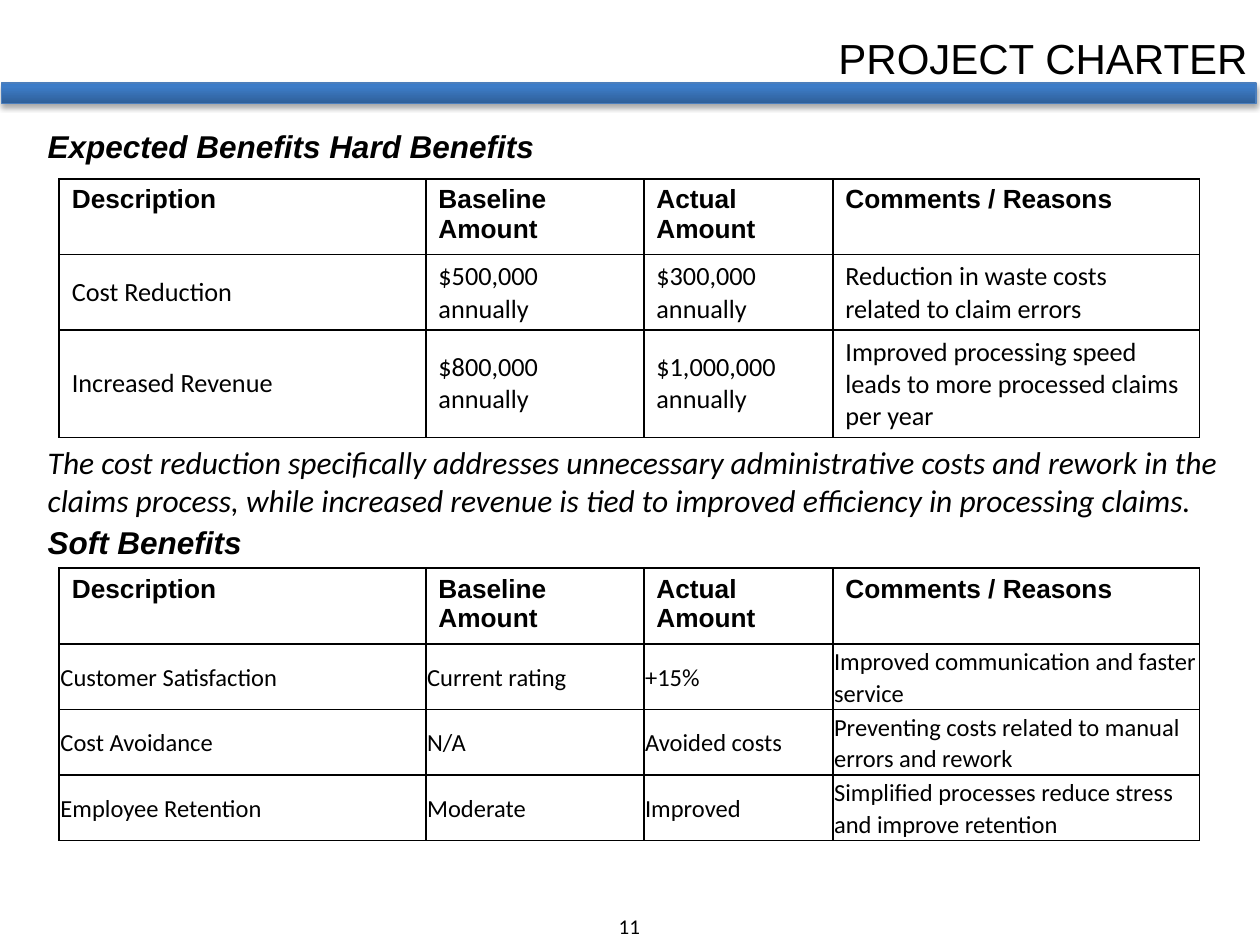
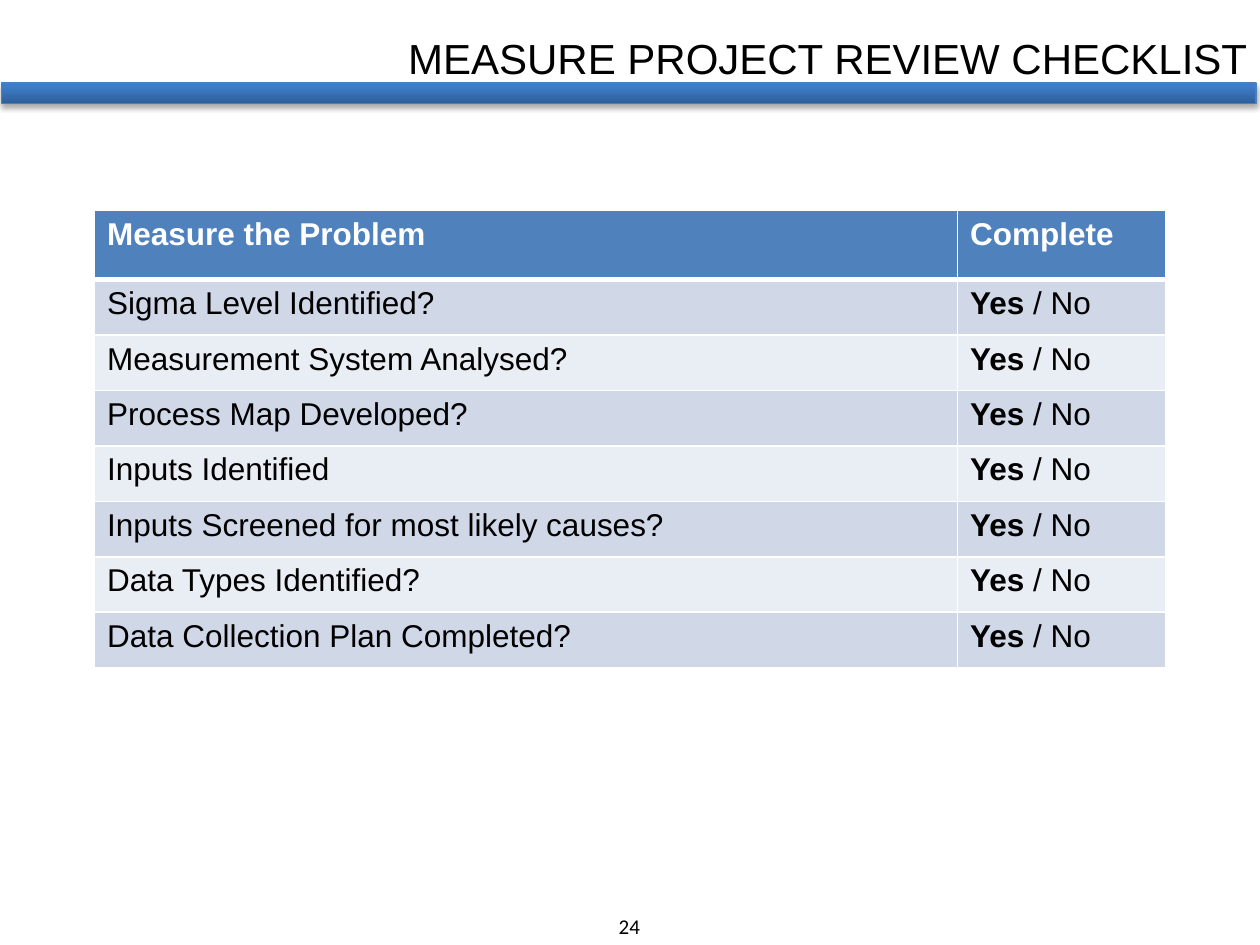
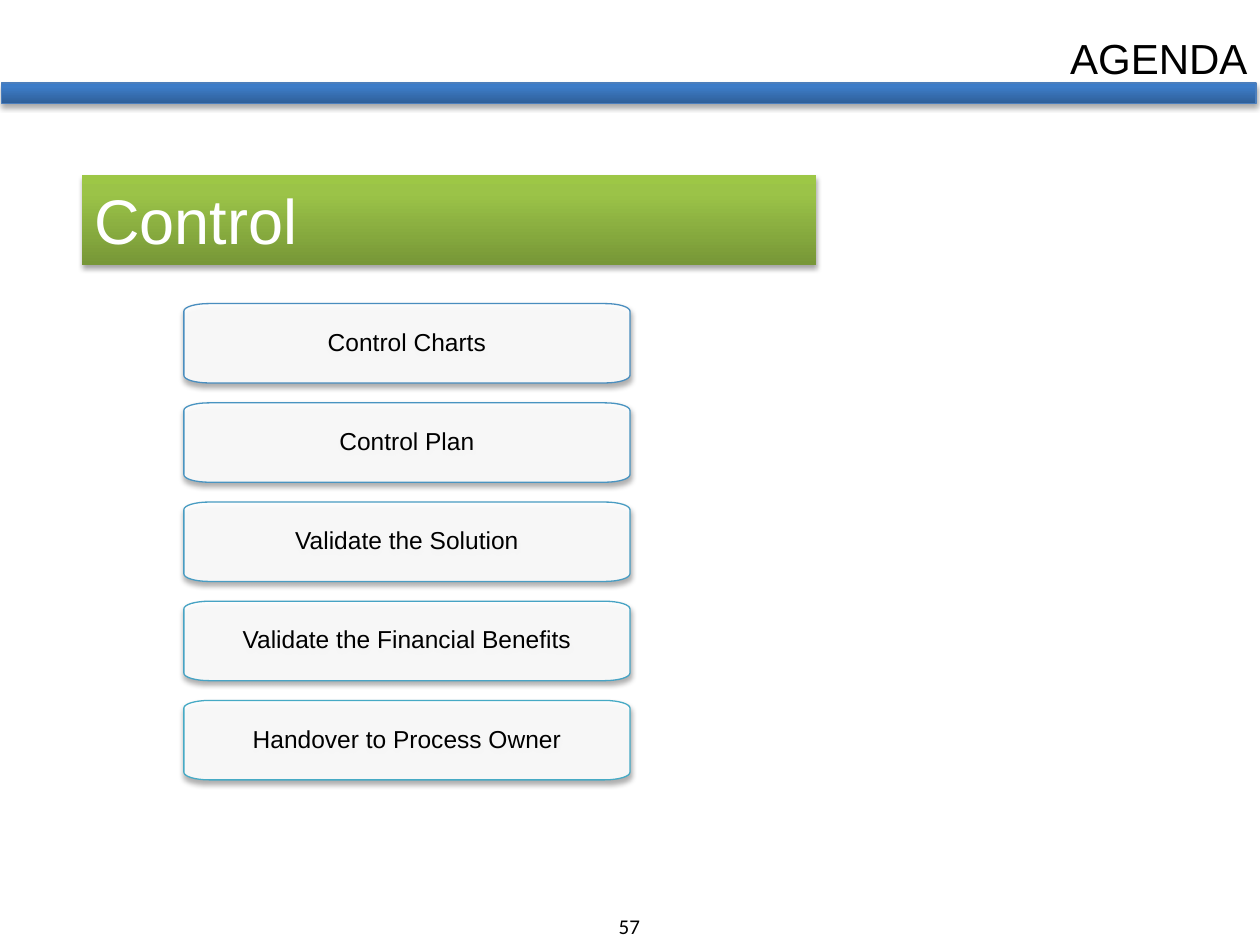
from dataclasses import dataclass
from math import cos, pi, sin

from pptx import Presentation
from pptx.dml.color import RGBColor
from pptx.enum.shapes import MSO_SHAPE
from pptx.enum.text import MSO_ANCHOR, PP_ALIGN
from pptx.oxml import parse_xml
from pptx.oxml.ns import nsdecls, qn
from pptx.util import Inches, Pt


@dataclass(frozen=True)
class Theme:
    """Colours, fonts and type sizes of the deck."""
    heading_font: str = "Arial"
    body_font: str = "Calibri"
    black: str = "000000"
    white: str = "FFFFFF"
    band_line: str = "4B7EBC"
    band_stops: tuple = ((0, "2F5F99"), (80, "3D7CC7"), (100, "3A7CCB"))
    phase_stops: tuple = ((0, "779737"), (80, "9BC348"), (100, "9DC746"))
    step_lines: tuple = ("4A8EBF", "4994C1", "489CC2", "47A3C4", "46AAC5")
    table_head: str = "4F81BD"
    table_bands: tuple = ("D0D8E8", "E9EDF4")
    phase_size: int = 36
    title_size: int = 24
    text_size: int = 18
    cell_size: int = 15
    small_size: int = 14
    page_size: int = 12


THEME = Theme()


def write(frame, text, *, size, font=THEME.heading_font, color=THEME.black,
          bold=False, italic=False, align=PP_ALIGN.LEFT,
          anchor=MSO_ANCHOR.TOP, spacing=None, margins=None):
    """Write a string, or (string, bold) pairs, as one formatted paragraph."""
    frame.word_wrap = True
    frame.vertical_anchor = anchor
    if margins:
        side, end = (Inches(margin) for margin in margins)
        frame.margin_left = frame.margin_right = side
        frame.margin_top = frame.margin_bottom = end
    paragraph = frame.paragraphs[0]
    paragraph.alignment = align
    if spacing:
        paragraph.line_spacing = spacing
    pieces = [(text, bold)] if isinstance(text, str) else text
    for piece, weight in pieces:
        run = paragraph.add_run()
        run.text = piece
        run.font.name = font
        run.font.size = Pt(size)
        run.font.bold = weight
        run.font.italic = italic
        run.font.color.rgb = RGBColor.from_string(color)


def set_gradient(shape, stops):
    """Fill a shape with a gradient rising from bottom to top."""
    shape.fill.gradient()
    shape.fill.gradient_angle = 90
    stop_list = shape.element.spPr.find(qn("a:gradFill")).find(qn("a:gsLst"))
    for stop in list(stop_list):
        stop_list.remove(stop)
    for place, color in stops:
        stop_list.append(parse_xml(
            f'<a:gs {nsdecls("a")} pos="{place * 1000}">'
            f'<a:srgbClr val="{color}"/></a:gs>'))


def set_shadow(shape):
    """Give a shape the soft shadow that falls straight down."""
    shape.shadow.inherit = False
    shape.element.spPr.find(qn("a:effectLst")).append(parse_xml(
        f'<a:outerShdw {nsdecls("a")} blurRad="{Pt(3.1)}" dist="{Pt(1.8)}" '
        'dir="5400000" rotWithShape="0"><a:srgbClr val="000000">'
        '<a:alpha val="35000"/></a:srgbClr></a:outerShdw>'))


def set_line(shape, color):
    """Outline a shape with the thin line."""
    shape.line.color.rgb = RGBColor.from_string(color)
    shape.line.width = Pt(0.75)


def set_borders(cell, color, top=1, bottom=1):
    """Draw the four borders of a table cell."""
    widths = {"lnL": 1, "lnR": 1, "lnT": top, "lnB": bottom}
    properties = cell._tc.get_or_add_tcPr()
    for place, (side, width) in enumerate(widths.items()):
        properties.insert(place, parse_xml(
            f'<a:{side} {nsdecls("a")} w="{Pt(width)}"><a:solidFill>'
            f'<a:srgbClr val="{color}"/></a:solidFill></a:{side}>'))


class Deck:
    """Holds the theme and the current slide."""

    def __init__(self, theme):
        """Start an empty deck."""
        self.theme = theme
        self.presentation = Presentation()
        self.presentation.slide_width = Inches(10)
        self.presentation.slide_height = Inches(7.5)
        self.slide = None

    def add_slide(self, title, page, title_width=5.16):
        """Add a slide with its page number, band and title."""
        theme = self.theme
        blank = self.presentation.slide_layouts[6]
        self.slide = self.presentation.slides.add_slide(blank)
        self.text(page, 4.68, 7.2, 0.63, 0.3, size=theme.page_size,
                  font=theme.body_font, align=PP_ALIGN.CENTER)
        band = self.bar(0.01, 0.66, 9.96, 0.16, theme.band_stops)
        set_line(band, theme.band_line)
        self.text(title, 10 - title_width, 0.21, title_width, 0.5,
                  size=theme.title_size, align=PP_ALIGN.RIGHT)

    def text(self, text, left, top, width, height, **style):
        """Add a text box."""
        box = self.slide.shapes.add_textbox(
            Inches(left), Inches(top), Inches(width), Inches(height))
        write(box.text_frame, text, **style)

    def bar(self, left, top, width, height, stops):
        """Add a shadowed gradient bar."""
        bar = self.slide.shapes.add_shape(
            MSO_SHAPE.RECTANGLE, Inches(left), Inches(top),
            Inches(width), Inches(height))
        set_gradient(bar, stops)
        bar.line.fill.background()
        set_shadow(bar)
        return bar

    def step(self, text, left, top, width, height, line):
        """Add a white card with elliptical corners."""
        radius_x, radius_y, parts = 0.2, 0.06, 8
        centers = ((left + width - radius_x, top + height - radius_y),
                   (left + radius_x, top + height - radius_y),
                   (left + radius_x, top + radius_y),
                   (left + width - radius_x, top + radius_y))
        outline = []
        for quarter, (x, y) in enumerate(centers):
            for part in range(parts + 1):
                angle = (quarter + part / parts) * pi / 2
                outline.append((Inches(x + radius_x * cos(angle)),
                                Inches(y + radius_y * sin(angle))))
        builder = self.slide.shapes.build_freeform(*outline[0])
        builder.add_line_segments(outline[1:], close=True)
        card = builder.convert_to_shape()
        card.fill.solid()
        card.fill.fore_color.rgb = RGBColor.from_string(self.theme.white)
        color = card.element.spPr.find(qn("a:solidFill"))[0]
        color.append(parse_xml(f'<a:alpha {nsdecls("a")} val="90000"/>'))
        set_line(card, line)
        set_shadow(card)
        write(card.text_frame, text, size=self.theme.small_size,
              align=PP_ALIGN.CENTER, anchor=MSO_ANCHOR.MIDDLE,
              spacing=0.9, margins=(0.05, 0.04))

    def table(self, rows, left, top, columns, heights, head, body,
              border, fills=None, rule=1):
        """Add a table whose header and body rows each have one text style."""
        grid = self.slide.shapes.add_table(
            len(rows), len(columns), Inches(left), Inches(top),
            Inches(sum(columns)), Inches(sum(heights))).table
        grid.first_row = grid.horz_banding = False
        for column, width in zip(grid.columns, columns):
            column.width = Inches(width)
        for index, (row, texts) in enumerate(zip(grid.rows, rows)):
            row.height = Inches(heights[index])
            for cell, text in zip(row.cells, texts):
                if fills:
                    cell.fill.solid()
                    cell.fill.fore_color.rgb = RGBColor.from_string(fills[index])
                else:
                    cell.fill.background()
                style = body if index else head
                self.cell(cell, text, **style)
                set_borders(cell, border, top=rule if index == 1 else 1,
                            bottom=1 if index else rule)

    def cell(self, cell, text, margins=None, anchor=MSO_ANCHOR.TOP, **style):
        """Write a table cell with its margins and anchor."""
        write(cell.text_frame, text, **style)
        cell.vertical_anchor = anchor
        if margins is not None:
            cell.margin_left = cell.margin_right = Inches(margins)
            cell.margin_top = cell.margin_bottom = Inches(margins)


def add_charter(deck):
    """Build the project charter slide."""
    theme = deck.theme
    deck.add_slide("PROJECT CHARTER", "11")
    header = ("Description", "Baseline Amount", "Actual Amount",
              "Comments / Reasons")
    hard_benefits = (
        header,
        ("Cost Reduction", "$500,000 annually", "$300,000 annually",
         "Reduction in waste costs related to claim errors"),
        ("Increased Revenue", "$800,000 annually", "$1,000,000 annually",
         "Improved processing speed leads to more processed claims per year"),
    )
    soft_benefits = (
        header,
        ("Customer Satisfaction", "Current rating", "+15%",
         "Improved communication and faster service"),
        ("Cost Avoidance", "N/A", "Avoided costs",
         "Preventing costs related to manual errors and rework"),
        ("Employee Retention", "Moderate", "Improved",
         "Simplified processes reduce stress and improve retention"),
    )
    shared = {"left": 0.47, "columns": (2.91, 1.73, 1.5, 2.91),
              "head": {"size": theme.cell_size, "bold": True},
              "border": theme.black}
    body = {"font": theme.body_font, "anchor": MSO_ANCHOR.MIDDLE}
    deck.table(hard_benefits, top=1.42, heights=(0.6, 0.6, 0.85),
               body={"size": theme.cell_size, **body}, **shared)
    deck.table(soft_benefits, top=4.51, heights=(0.6, 0.52, 0.52, 0.52),
               body={"size": theme.small_size, "spacing": 1.07,
                     "margins": 0.01, **body}, **shared)
    heading = {"size": theme.text_size, "bold": True, "italic": True}
    deck.text("Expected Benefits Hard Benefits", 0.28, 0.96, 4.09, 0.4, **heading)
    deck.text("Soft Benefits", 0.28, 4.1, 2.83, 0.4, **heading)
    deck.text("The cost reduction specifically addresses unnecessary "
              "administrative costs and rework in the claims process, while "
              "increased revenue is tied to improved efficiency in processing "
              "claims.", 0.28, 3.47, 10.12, 0.71, size=theme.text_size,
              font=theme.body_font, italic=True)


def add_checklist(deck):
    """Build the measure checklist slide."""
    theme = deck.theme
    deck.add_slide("MEASURE PROJECT REVIEW CHECKLIST", "24", title_width=7.13)
    checks = ("Sigma Level Identified?", "Measurement System Analysed?",
              "Process Map Developed?", "Inputs Identified",
              "Inputs Screened for most likely causes?",
              "Data Types Identified?", "Data Collection Plan Completed?")
    answer = (("Yes", True), (" / No", False))
    rows = [("Measure the Problem", "Complete")]
    rows += [(check, answer) for check in checks]
    bands = [theme.table_bands[index % 2] for index in range(len(checks))]
    deck.table(rows, 0.75, 1.67, (6.85, 1.65), [0.55] + [0.44] * len(checks),
               head={"size": theme.text_size, "bold": True,
                     "color": theme.white},
               body={"size": theme.text_size}, border=theme.white,
               fills=[theme.table_head] + bands, rule=3)


def add_agenda(deck):
    """Build the control agenda slide."""
    theme = deck.theme
    deck.add_slide("AGENDA", "57")
    phase = deck.bar(0.65, 1.39, 5.83, 0.71, theme.phase_stops)
    write(phase.text_frame, "Control", size=theme.phase_size, color=theme.white)
    steps = ("Control Charts", "Control Plan", "Validate the Solution",
             "Validate the Financial Benefits", "Handover to Process Owner")
    first, last = 2.41, 5.56
    pitch = (last - first) / (len(steps) - 1)
    for index, (step, line) in enumerate(zip(steps, theme.step_lines)):
        deck.step(step, 1.46, first + index * pitch, 3.54, 0.63, line)


def main():
    """Build the three slides and save them."""
    deck = Deck(THEME)
    add_charter(deck)
    add_checklist(deck)
    add_agenda(deck)
    deck.presentation.save("out.pptx")


if __name__ == "__main__":
    main()
